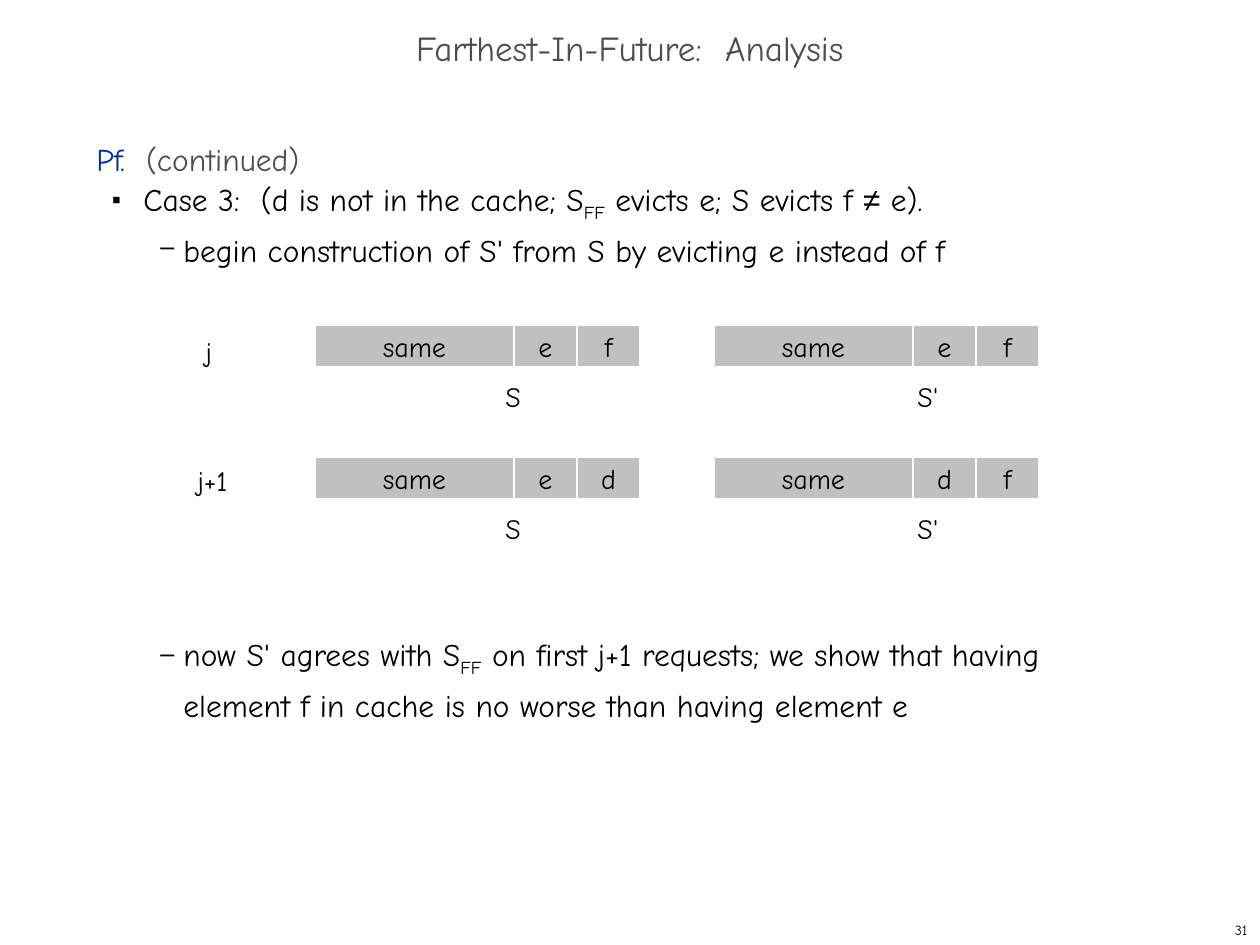
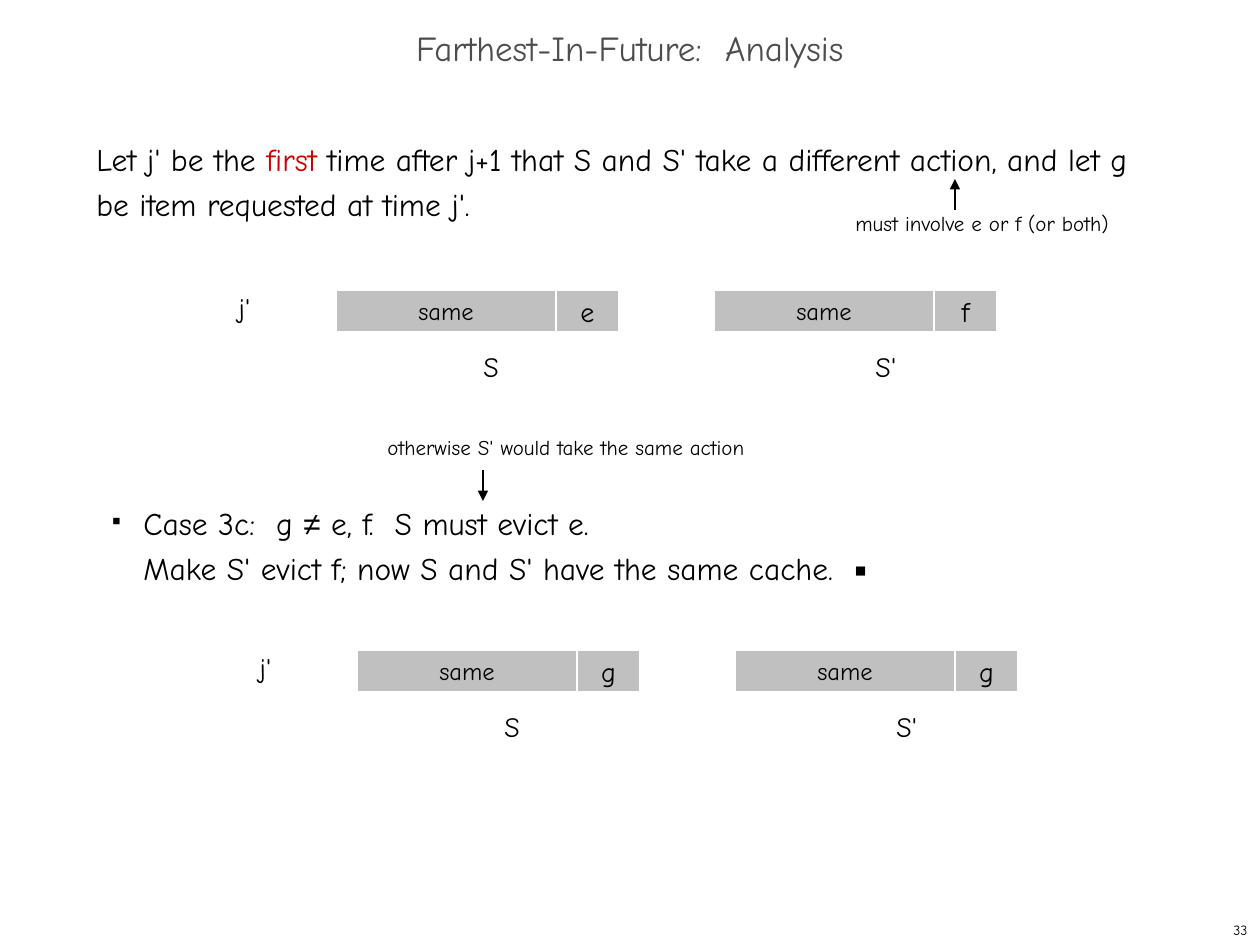
from dataclasses import dataclass
from typing import NamedTuple

from lxml import etree
from pptx import Presentation
from pptx import util as u
from pptx.dml.color import RGBColor
from pptx.enum import shapes, text
from pptx.oxml.ns import qn

EMU_PER_PX = 914400 / 126


@dataclass(frozen=True)
class Theme:
    font: str = "Comic Neue"
    symbol_font: str = "Arial"
    ink: str = "000000"
    heading: str = "4D4D4D"
    proof: str = "003399"
    emphasis: str = "CC0000"
    cell: str = "C0C0C0"
    paper: str = "FFFFFF"
    title_size: int = 20
    body_size: int = 18
    cache_size: int = 16
    small_cache_size: int = 14
    note_size: int = 12
    number_size: int = 8
    line_pitch: int = 26
    rule: float = 0.75


THEME = Theme()


class Box(NamedTuple):
    left: int
    top: int
    width: int
    height: int


class Span(NamedTuple):
    text: str
    color: str = THEME.ink
    font: str = THEME.font
    subscript: bool = False


class Bullet(NamedTuple):
    mark: str
    percent: int
    margin: int
    hang: int
    level: int


class Statement(NamedTuple):
    spans: list[Span]
    bullet: Bullet | None = None
    skipped_lines: int = 0


class Cache(NamedTuple):
    schedule: str
    left: int
    schedule_left: int
    items: str


class CacheRow(NamedTuple):
    time: str
    time_left: int
    time_top: int
    top: int
    schedule_top: int
    same_width: int
    same_size: int
    caches: list[Cache]


class Note(NamedTuple):
    words: str
    box: Box
    arrow_x: int
    arrow_from: int
    arrow_to: int


class Page(NamedTuple):
    number: int
    statements: list[Statement]
    rows: list[CacheRow]
    notes: list[Note]


TITLE = "Farthest-In-Future:  Analysis"
TITLE_BOX = Box(0, 21, 1260, 63)
BODY_BOX = Box(84, 126, 1081, 746)
NUMBER_BOX = Box(998, 914, 262, 31)
CELL_HEIGHT = 42
ITEM_WIDTH = 63
LABEL_HEIGHT = 47

CASE = Bullet("■", 35, 47, 31, 1)
STEP = Bullet("–", 80, 87, 23, 2)
FF = Span("FF", subscript=True)
NOT_EQUAL = Span("≠", font=THEME.symbol_font)


def case_3_row(time: str, time_left: int, time_top: int, top: int, s: str, s_prime: str) -> CacheRow:
    return CacheRow(time, time_left, time_top, top, top + 48, 199, THEME.cache_size,
                    [Cache("S", 315, 493, s), Cache("S'", 714, 905, s_prime)])


def first_difference_row(top: int, shift: int, s: str, s_prime: str) -> CacheRow:
    return CacheRow("j'", 226 + shift, top - 6, top, top + 53, 220, THEME.small_cache_size,
                    [Cache("S", 336 + shift, 471 + shift, s),
                     Cache("S'", 714 + shift, 863 + shift, s_prime)])


PAGES = [
    Page(
        31,
        [
            Statement([Span("Pf.  ", THEME.proof), Span("(continued)", THEME.heading)]),
            Statement([Span("Case 3:  (d is not in the cache; S"), FF,
                       Span(" evicts e; S evicts f "), NOT_EQUAL, Span(" e).")], CASE),
            Statement([Span("begin construction of S' from S by evicting e instead of f")], STEP),
            Statement([Span("now S' agrees with S"), FF,
                       Span(" on first j+1 requests; we show that having element f in cache"
                            " is no worse than having element e")], STEP, skipped_lines=8),
        ],
        [
            case_3_row("j", 193, 328, 325, "ef", "ef"),
            case_3_row("j+1", 185, 457, 457, "ed", "df"),
        ],
        [],
    ),
    Page(
        33,
        [
            Statement([Span("Let j' be the "), Span("first", THEME.emphasis),
                       Span(" time after j+1 that S and S' take a different action,"
                            " and let g be item requested at time j'.")]),
            Statement([Span("Case 3c:  g "), NOT_EQUAL,
                       Span(" e, f.  S must evict e.\n"
                            "Make S' evict f; now S and S' have the same cache.  ▪")],
                      CASE, skipped_lines=6),
        ],
        [
            first_difference_row(290, 0, "e", "f"),
            first_difference_row(650, 21, "g", "g"),
        ],
        [
            Note("must involve e or f (or both)", Box(843, 204, 280, 38), 955, 210, 179),
            Note("otherwise S' would take the same action", Box(375, 428, 384, 38), 483, 470, 501),
        ],
    ),
]


def px(length: float) -> u.Emu:
    return u.Emu(round(length * EMU_PER_PX))


def emu(box: Box) -> tuple[u.Emu, ...]:
    return tuple(px(side) for side in box)


def write(paragraph, words: str, *, size: int, color: str = THEME.ink,
          font: str = THEME.font, subscript: bool = False) -> None:
    """Append formatted words; a newline becomes a line break."""
    for index, line in enumerate(words.split("\n")):
        if index:
            paragraph.add_line_break()
        run = paragraph.add_run()
        run.text = line
        run.font.size = u.Pt(size)
        run.font.name = font
        run.font.bold = False
        run.font.color.rgb = RGBColor.from_string(color)
        if subscript:
            run.font._element.set("baseline", "-25000")


def add_label(slide, words: str, box: Box, *, size: int = THEME.cache_size,
              wrap: bool = False, align=text.PP_ALIGN.LEFT, anchor=text.MSO_ANCHOR.TOP) -> None:
    frame = slide.shapes.add_textbox(*emu(box)).text_frame
    frame.word_wrap = wrap
    frame.vertical_anchor = anchor
    frame.paragraphs[0].alignment = align
    write(frame.paragraphs[0], words, size=size)


def add_title(slide) -> None:
    title = slide.shapes.title
    title.left, title.top, title.width, title.height = emu(TITLE_BOX)
    frame = title.text_frame
    frame.auto_size = text.MSO_AUTO_SIZE.NONE
    frame.vertical_anchor = text.MSO_ANCHOR.MIDDLE
    heading = frame.paragraphs[0]
    heading.alignment = text.PP_ALIGN.CENTER
    heading.line_spacing = 0.7
    write(heading, TITLE, size=THEME.title_size, color=THEME.heading)


def set_bullet(paragraph, bullet: Bullet) -> None:
    paragraph.level = bullet.level
    properties = paragraph._p.get_or_add_pPr()
    properties.set("marL", str(px(bullet.margin)))
    properties.set("indent", str(-px(bullet.hang)))
    color = etree.SubElement(properties, qn("a:buClr"))
    etree.SubElement(color, qn("a:srgbClr"), val=THEME.ink)
    etree.SubElement(properties, qn("a:buSzPct"), val=str(bullet.percent * 1000))
    etree.SubElement(properties, qn("a:buChar"), char=bullet.mark)


def add_argument(slide, statements: list[Statement]) -> None:
    frame = slide.shapes.add_textbox(*emu(BODY_BOX)).text_frame
    frame.word_wrap = True
    for index, statement in enumerate(statements):
        paragraph = frame.add_paragraph() if index else frame.paragraphs[0]
        if statement.bullet:
            set_bullet(paragraph, statement.bullet)
        paragraph.line_spacing = u.Pt(THEME.line_pitch)
        if statement.skipped_lines:
            paragraph.space_before = u.Pt(THEME.line_pitch * statement.skipped_lines)
        for span in statement.spans:
            write(paragraph, span.text, size=THEME.body_size, color=span.color,
                  font=span.font, subscript=span.subscript)


def add_cell(slide, words: str, box: Box, size: int) -> None:
    cell = slide.shapes.add_shape(shapes.MSO_SHAPE.RECTANGLE, *emu(box))
    cell.shadow.inherit = False
    cell.fill.solid()
    cell.fill.fore_color.rgb = RGBColor.from_string(THEME.cell)
    cell.line.color.rgb = RGBColor.from_string(THEME.paper)
    cell.line.width = u.Pt(THEME.rule)
    frame = cell.text_frame
    frame.word_wrap = False
    frame.vertical_anchor = text.MSO_ANCHOR.MIDDLE
    frame.paragraphs[0].alignment = text.PP_ALIGN.CENTER
    write(frame.paragraphs[0], words, size=size)


def add_cache_row(slide, row: CacheRow) -> None:
    add_label(slide, row.time, Box(row.time_left, row.time_top, 16 + 13 * len(row.time), LABEL_HEIGHT))
    for cache in row.caches:
        add_cell(slide, "same", Box(cache.left, row.top, row.same_width, CELL_HEIGHT), row.same_size)
        for index, item in enumerate(cache.items):
            left = cache.left + row.same_width + index * ITEM_WIDTH
            add_cell(slide, item, Box(left, row.top, ITEM_WIDTH, CELL_HEIGHT), THEME.cache_size)
        add_label(slide, cache.schedule,
                  Box(cache.schedule_left, row.schedule_top, 34 + 6 * len(cache.schedule), LABEL_HEIGHT))


def add_note(slide, note: Note) -> None:
    add_label(slide, note.words, note.box, size=THEME.note_size)
    arrow = slide.shapes.add_connector(
        shapes.MSO_CONNECTOR.STRAIGHT,
        px(note.arrow_x), px(note.arrow_from), px(note.arrow_x), px(note.arrow_to))
    arrow.line.color.rgb = RGBColor.from_string(THEME.ink)
    arrow.line.width = u.Pt(THEME.rule)
    properties = arrow.element.spPr
    etree.SubElement(properties.find(qn("a:ln")), qn("a:tailEnd"), type="triangle")
    etree.SubElement(properties, qn("a:effectLst"))


def add_page(deck, page: Page) -> None:
    slide = deck.slides.add_slide(deck.slide_layouts.get_by_name("Title Only"))
    add_title(slide)
    add_argument(slide, page.statements)
    for row in page.rows:
        add_cache_row(slide, row)
    for note in page.notes:
        add_note(slide, note)
    add_label(slide, str(page.number), NUMBER_BOX, size=THEME.number_size, wrap=True,
              align=text.PP_ALIGN.RIGHT, anchor=text.MSO_ANCHOR.MIDDLE)


def main() -> None:
    deck = Presentation()
    deck.slide_width, deck.slide_height = px(1260), px(945)
    for page in PAGES:
        add_page(deck, page)
    deck.save("out.pptx")


if __name__ == "__main__":
    main()
